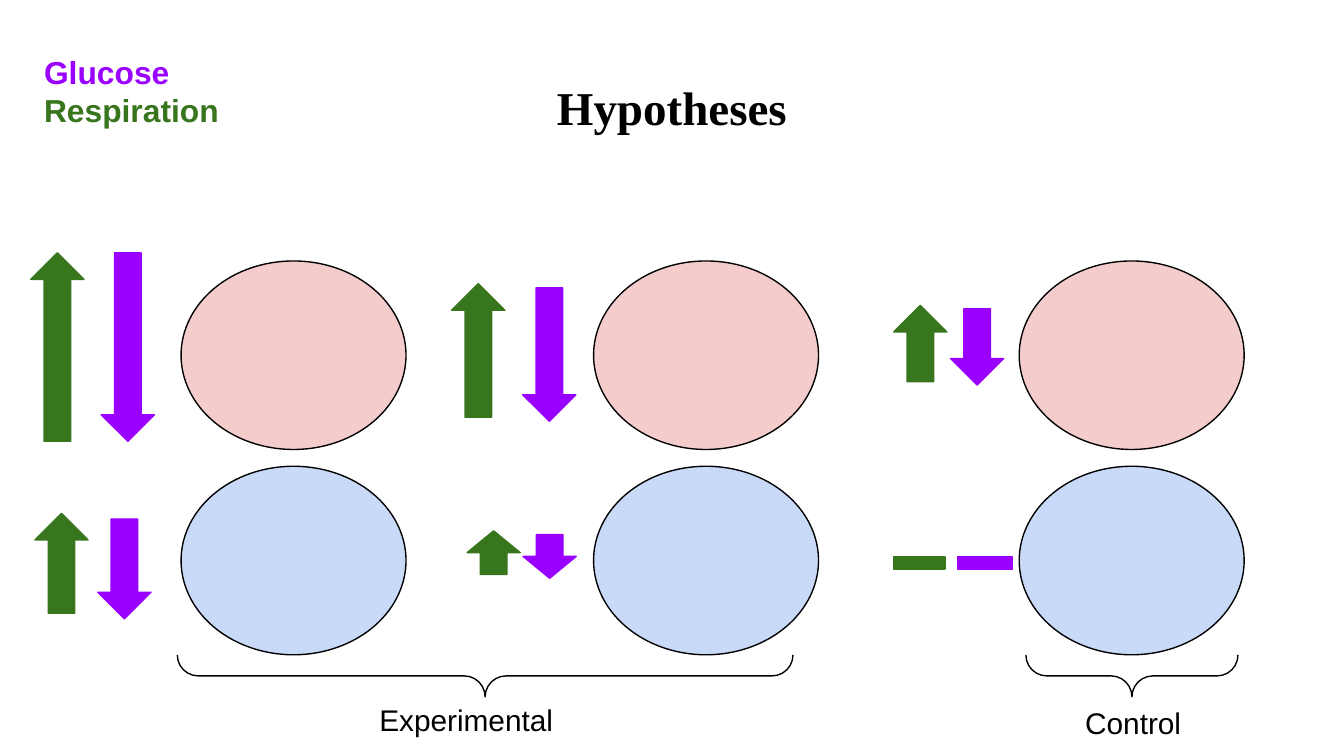
from pptx import Presentation
from pptx.dml.color import RGBColor
from pptx.enum import shapes, text
from pptx.util import Pt

COLORS = {
    "black": "000000",
    "warm": "F4CCCC",
    "cool": "C9DAF8",
    "glucose": "9900FF",
    "respiration": "38761D",
}
SHAPE = shapes.MSO_SHAPE


def add_outlined(parent, kind, left, top, width, height, fill=None, line="black"):
    """Add a preset shape without shadow, unfilled unless a fill is named."""
    shape = parent.shapes.add_shape(kind, Pt(left), Pt(top), Pt(width), Pt(height))
    shape.shadow.inherit = False
    if fill:
        shape.fill.solid()
        shape.fill.fore_color.rgb = RGBColor.from_string(COLORS[fill])
    else:
        shape.fill.background()
    shape.line.color.rgb = RGBColor.from_string(COLORS[line])
    shape.line.width = Pt(0.75)
    return shape


def write_lines(box, lines, colors, size, font="Arial", bold=False, align=text.PP_ALIGN.CENTER):
    frame = box.text_frame
    frame.text = "\n".join(lines)
    frame.word_wrap = True
    frame.auto_size = text.MSO_AUTO_SIZE.NONE
    frame.vertical_anchor = text.MSO_ANCHOR.TOP
    frame.margin_left = frame.margin_right = Pt(7.2)
    frame.margin_top = frame.margin_bottom = Pt(7.2)
    for para, color in zip(frame.paragraphs, colors):
        para.alignment = align
        para.space_before = Pt(0)
        para.line_spacing = 1.0
        for span in para.runs:
            span.font.name = font
            span.font.size = Pt(size)
            span.font.bold = bold
            span.font.color.rgb = RGBColor.from_string(COLORS[color])


deck = Presentation()
deck.slide_width, deck.slide_height = Pt(720), Pt(405)
page = deck.slides.add_slide(deck.slide_layouts[5])

title = page.shapes.title
title.left, title.top, title.width, title.height = Pt(24.5), Pt(35), Pt(671), Pt(45.1)
write_lines(title, ["Hypotheses"], ["black"], 25.2, "Times New Roman", bold=True)

# Two rows of cells: warm above, cool below
for left in (97, 318, 546):
    for top, fill in ((139.8, "warm"), (249.8, "cool")):
        add_outlined(page, SHAPE.OVAL, left, top, 120.5, 101, fill)

# Braces are drawn upright, then turned to open upwards
for center_x, center_y, span_width in ((259.9, 362.1, 329.8), (606.4, 362.1, 113.6)):
    brace = add_outlined(page, SHAPE.LEFT_BRACE, center_x - 11.2,
                         center_y - span_width / 2, 22.4, span_width)
    brace.adjustments[0] = brace.adjustments[1] = 0.5
    brace.rotation = 270

for label, left, top in (("Experimental", 150.3, 368.6), ("Control", 507.6, 370.5)):
    box = page.shapes.add_textbox(Pt(left), Pt(top), Pt(199), Pt(23))
    write_lines(box, [label], ["black"], 16)

legend = page.shapes.add_textbox(Pt(16.5), Pt(21), Pt(147.6), Pt(52))
write_lines(legend, ["Glucose", "Respiration"], ["glucose", "respiration"], 17,
            bold=True, align=text.PP_ALIGN.LEFT)

# No change: a pair of minus signs
unchanged = page.shapes.add_group_shape()
for left, width, color in ((473.8, 37.4, "respiration"), (507.6, 40.3, "glucose")):
    minus = add_outlined(unchanged, SHAPE.MATH_MINUS, left, 288, width, 27.4, color, color)
    minus.adjustments[0] = 0.235

# Respiration up, glucose down: (left, top) of each arrow and the shared height
arrow_pairs = [
    ((16.5, 135.4), (54.2, 135.4), 101),
    ((242, 152), (280, 154.2), 71.5),
    ((478.8, 163.6), (509.2, 165.4), 40.9),
    ((18.7, 275), (52.4, 278), 53.5),
    ((250.2, 284.4), (280.2, 286.4), 23.4),
]
for up, down, height in arrow_pairs:
    pair = page.shapes.add_group_shape()
    for (left, top), color, turn in ((up, "respiration", 0), (down, "glucose", 180)):
        arrow = add_outlined(pair, SHAPE.UP_ARROW, left, top, 28.5, height, color, color)
        arrow.adjustments[0] = arrow.adjustments[1] = 0.5
        arrow.rotation = turn

deck.save("out.pptx")
